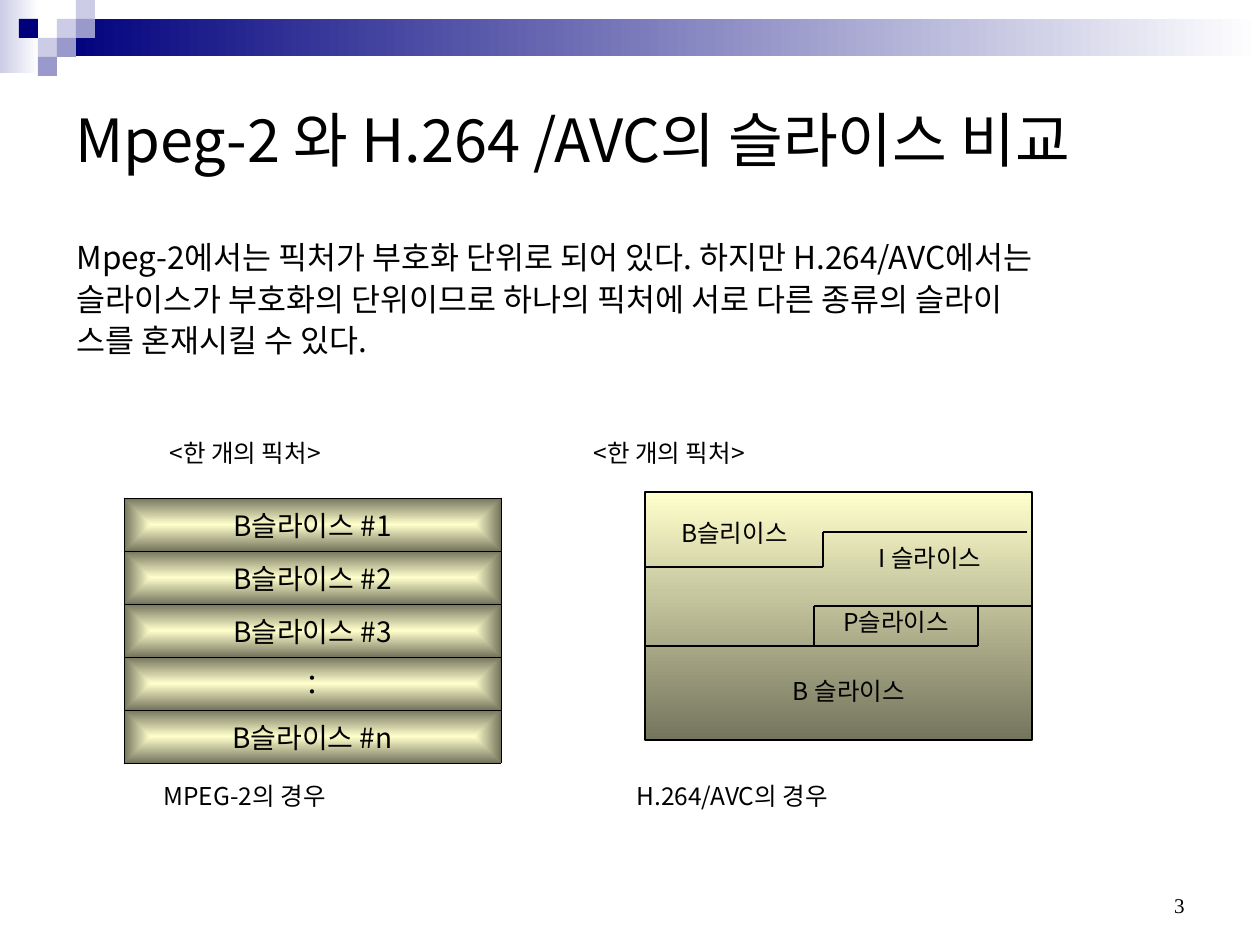
from lxml import etree
from pptx import Presentation
from pptx import util as u
from pptx.dml.color import RGBColor
from pptx.enum import shapes, text
from pptx.oxml import parse_xml
from pptx.oxml.ns import nsdecls, qn

PX = 914400 / 126
FONT = "Noto Sans CJK KR"
BLACK, CREAM, OLIVE = "000000", "FFFFCC", "75755E"
NAVY, LILAC, VIOLET, WHITE = "00007D", "CCCCE6", "9999CC", "FFFFFF"
LEFT, CENTER, RIGHT = text.PP_ALIGN.LEFT, text.PP_ALIGN.CENTER, text.PP_ALIGN.RIGHT
SQUARES = [(3, 1, LILAC), (4, 0, LILAC), (4, 1, VIOLET), (2, 2, LILAC),
           (1, 1, NAVY), (3, 2, VIOLET), (2, 3, VIOLET)]
BODY = ["Mpeg-2에서는 픽처가 부호화 단위로 되어 있다. 하지만 H.264/AVC에서는",
        "슬라이스가 부호화의 단위이므로 하나의 픽처에 서로 다른 종류의 슬라이",
        "스를 혼재시킬 수 있다."]
CAPTIONS = [("<한 개의 픽처>", 157, 432), ("<한 개의 픽처>", 581, 432),
            ("MPEG-2의 경우", 151, 775), ("H.264/AVC의 경우", 624, 775)]
ROWS = ["B슬라이스 #1", "B슬라이스 #2", "B슬라이스 #3", "：", "B슬라이스 #n"]
SLICE_EDGES = [[(645, 567), (823, 567), (823, 532), (1027, 532)],
               [(645, 646), (978, 646), (978, 606), (1032, 606)],
               [(814, 646), (814, 606), (978, 606)]]
SLICE_LABELS = [("B슬리이스", 660, 512, 149), ("I 슬라이스", 838, 537, 184),
                ("P슬라이스", 824, 601, 144), ("B 슬라이스", 735, 670, 228)]


def px(*lengths):
    """Turn pixel lengths into EMU."""
    return [u.Emu(round(length * PX)) for length in lengths]


def color(value):
    """Turn a hex string into a colour."""
    return RGBColor.from_string(value)


def format_paragraph(para, size, align=LEFT, name=FONT):
    """Set alignment and font of a paragraph."""
    para.alignment = align
    para.font.size = u.Pt(size)
    para.font.color.rgb = color(BLACK)
    para.font.name = name
    defaults = para._p.pPr.find(qn("a:defRPr"))
    etree.SubElement(defaults, qn("a:ea")).set("typeface", name)


def fill_gradient(fill, start, end, angle=0):
    """Fill with a two-colour gradient."""
    fill.gradient()
    fill.gradient_angle = angle
    for stop, value in zip(fill.gradient_stops, (start, end)):
        stop.color.rgb = color(value)


def add_rect(page, left, top, width, height, colors, angle=0, outline=False):
    """Add a rectangle with one solid colour or two gradient colours."""
    rect = page.shapes.add_shape(shapes.MSO_SHAPE.RECTANGLE, *px(left, top, width, height))
    rect.shadow.inherit = False
    if len(colors) == 2:
        fill_gradient(rect.fill, *colors, angle)
    else:
        rect.fill.solid()
        rect.fill.fore_color.rgb = color(colors[0])
    if outline:
        rect.line.color.rgb = color(BLACK)
        rect.line.width = u.Pt(0.75)
    else:
        rect.line.fill.background()


def add_label(page, words, left, top, width, height=43, size=14, align=CENTER, name=FONT):
    """Add a one-line text box."""
    box = page.shapes.add_textbox(*px(left, top, width, height))
    box.text_frame.word_wrap = True
    para = box.text_frame.paragraphs[0]
    para.text = words
    format_paragraph(para, size, align, name)
    return box


def add_edges(page, points):
    """Join successive points with straight lines."""
    for start, end in zip(points, points[1:]):
        edge = page.shapes.add_connector(shapes.MSO_CONNECTOR.STRAIGHT, *px(*start, *end))
        edge.line.color.rgb = color(BLACK)
        edge.line.width = u.Pt(0.75)
        etree.SubElement(edge._element.spPr, qn("a:effectLst"))


def fill_placeholder(holder, lines, bounds, size, anchor):
    """Move a placeholder and set its unbulleted lines."""
    holder.left, holder.top, holder.width, holder.height = px(*bounds)
    frame = holder.text_frame
    frame.text = "\n".join(lines)
    frame.auto_size = text.MSO_AUTO_SIZE.NONE
    frame.vertical_anchor = anchor
    for para in frame.paragraphs:
        properties = para._p.get_or_add_pPr()
        properties.set("marL", "0")
        properties.set("indent", "0")
        etree.SubElement(properties, qn("a:buNone"))
        format_paragraph(para, size)
    return frame


def style_cell(cell):
    """Give a cell thin borders and a gradient from its centre."""
    fill_gradient(cell.fill, CREAM, OLIVE)
    properties = cell._tc.tcPr
    linear = properties.find(".//" + qn("a:lin"))
    linear.getparent().replace(linear, parse_xml(
        f'<a:path {nsdecls("a")} path="rect">'
        '<a:fillToRect l="50000" t="50000" r="50000" b="50000"/></a:path>'))
    for index, side in enumerate("LRTB"):
        properties.insert(index, parse_xml(
            f'<a:ln{side} {nsdecls("a")} w="5715"><a:solidFill>'
            f'<a:srgbClr val="{BLACK}"/></a:solidFill></a:ln{side}>'))


def add_slice_table(page):
    """Add the one-column table of slices."""
    table = page.shapes.add_table(len(ROWS), 1, *px(124, 498, 377, 265)).table
    table.first_row = table.horz_banding = False
    for row, words in zip(table.rows, ROWS):
        cell = row.cells[0]
        cell.text = words
        format_paragraph(cell.text_frame.paragraphs[0], 16, CENTER)
        style_cell(cell)


def add_header(page):
    """Add the gradient band and its squares."""
    add_rect(page, 0, 0, 39, 73, (LILAC, WHITE))
    add_rect(page, 57, 19, 1203, 37, (NAVY, WHITE))
    for column, row, value in SQUARES:
        add_rect(page, column * 19, row * 19, 19, 19, (value,))


def main():
    """Build and save the deck."""
    deck = Presentation()
    deck.slide_width, deck.slide_height = px(1260, 945)
    page = deck.slides.add_slide(deck.slide_layouts[1])
    add_header(page)
    title, body = page.placeholders
    fill_placeholder(title, ["Mpeg-2 와 H.264 /AVC의 슬라이스 비교"],
                     (63, 63, 1134, 151), 34, text.MSO_ANCHOR.MIDDLE)
    frame = fill_placeholder(body, BODY, (64, 239, 1087, 150), 18, text.MSO_ANCHOR.TOP)
    for para in frame.paragraphs:
        para.line_spacing = 0.8
        para.space_before = u.Pt(6.5)
    for words, left, top in CAPTIONS:
        add_label(page, words, left, top, 260, 48, align=LEFT)
    add_slice_table(page)
    add_rect(page, 645, 492, 387, 248, (CREAM, OLIVE), 270, outline=True)
    for points in SLICE_EDGES:
        add_edges(page, points)
    for label in SLICE_LABELS:
        add_label(page, *label)
    number = add_label(page, "3", 903, 861, 294, 63, 12, RIGHT, "Times New Roman")
    number.text_frame.vertical_anchor = text.MSO_ANCHOR.BOTTOM
    deck.save("out.pptx")


if __name__ == "__main__":
    main()
